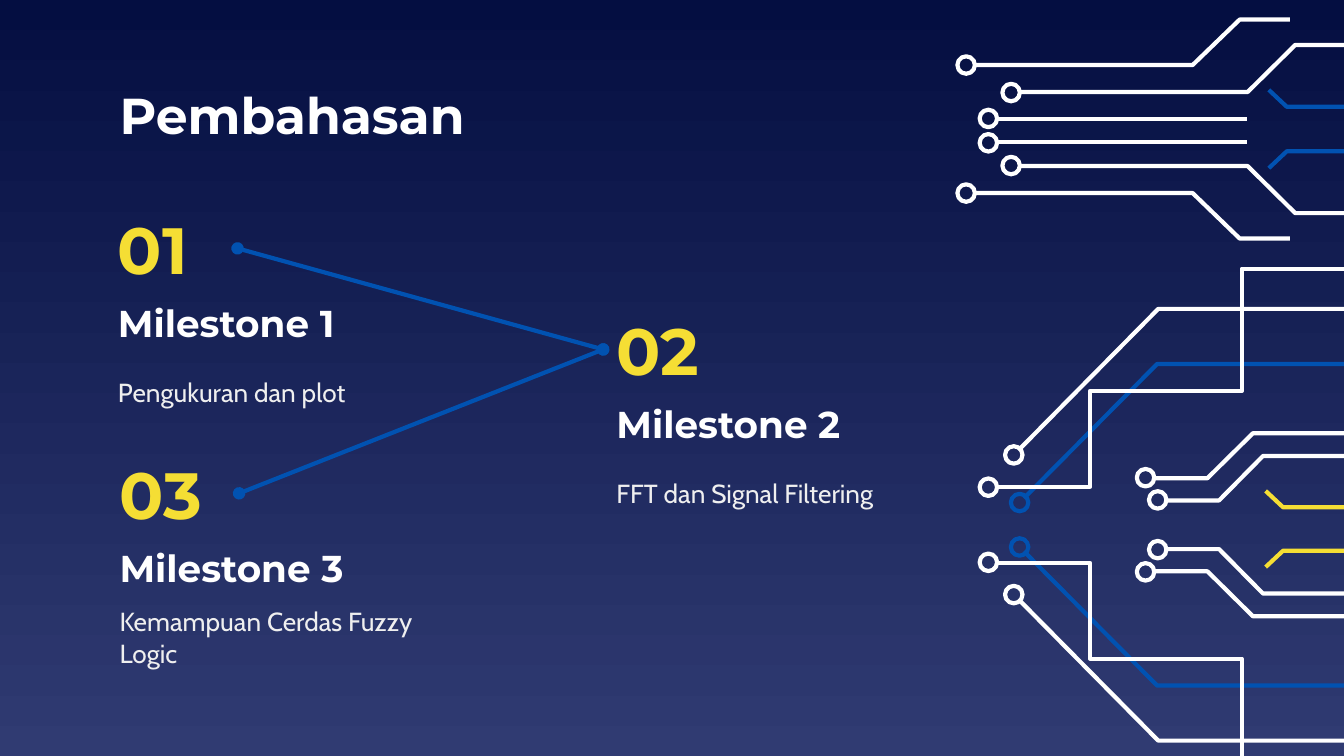
from dataclasses import dataclass

from lxml import etree
from pptx import Presentation
from pptx import util as u
from pptx.dml.color import RGBColor
from pptx.enum import shapes, text
from pptx.oxml.ns import qn


@dataclass(frozen=True)
class Theme:
    top: str = "040E41"
    base: str = "303B72"
    white: str = "FFFFFF"
    pale: str = "EFEFEF"
    gold: str = "F5DE34"
    blue: str = "0152B1"
    head: str = "Montserrat"
    body: str = "Cabin"
    title: float = 27
    num: float = 35
    name: float = 20
    note: float = 14
    line: float = 2.25


@dataclass(frozen=True)
class Step:
    num: str
    name: str
    note: str
    x: float
    y: float


@dataclass(frozen=True)
class Trace:
    hue: str
    axis: float
    pts: tuple
    dot: tuple = ()


T = Theme()
RING = 0.33

STEPS = [
    Step("01", "Milestone 1", "Pengukuran dan plot", 1.98, 3.96),
    Step("02", "Milestone 2", "FFT dan Signal Filtering", 11.4, 5.87),
    Step("03", "Milestone 3", "Kemampuan Cerdas Fuzzy Logic", 2.01, 8.59),
]

TRACES = [
    Trace(T.white, 9.92, ((22, 9.46), (23.04, 9.46), (23.87, 8.62), (25.9, 8.62)), (21.88, 9.45)),
    Trace(T.white, 9.92, ((21.79, 9.04), (22.82, 9.04), (23.68, 8.19), (25.9, 8.19)), (21.65, 9.03)),
    Trace(T.gold, 10, ((23.92, 9.28), (24.25, 9.59), (25.68, 9.59))),
    Trace(T.blue, 2.44, ((23.98, 1.7), (24.32, 2.02), (25.73, 2.02))),
    Trace(T.blue, 9.92, ((19.35, 9.42), (21.87, 6.88), (25.88, 6.88)), (19.27, 9.5)),
    Trace(T.white, 9.92, ((18.82, 9.2), (20.6, 9.2), (20.6, 7.39), (23.47, 7.39),
                          (23.47, 5.08), (25.9, 5.08)), (18.68, 9.21)),
    Trace(T.white, 9.92, ((19.25, 8.51), (21.89, 5.84), (25.9, 5.84)), (19.16, 8.6)),
    Trace(T.white, 2.44, ((18.39, 1.23), (22.54, 1.23), (23.43, 0.37), (24.38, 0.37)), (18.26, 1.23)),
    Trace(T.white, 2.44, ((19.25, 1.74), (23.58, 1.74), (24.48, 0.85), (26.04, 0.85)), (19.11, 1.75)),
    Trace(T.white, 2.47, ((18.82, 2.25), (23.57, 2.25)), (18.68, 2.24)),
]


def stroke(shape, hue: str) -> None:
    shape.line.color.rgb = RGBColor.from_string(hue)
    shape.line.width = u.Pt(T.line)


def write(slide, words: str, *, x: float, y: float, w: float, h: float,
          size: float, font: str = T.head, hue: str = T.white, bold: bool = True):
    box = slide.shapes.add_textbox(u.Cm(x), u.Cm(y), u.Cm(w), u.Cm(h))
    frame = box.text_frame
    frame.word_wrap = True
    frame.vertical_anchor = text.MSO_ANCHOR.MIDDLE
    frame.margin_left = frame.margin_right = u.Cm(0.25)
    frame.margin_top = frame.margin_bottom = u.Cm(0.25)
    run = frame.paragraphs[0].add_run()
    run.text = words
    run.font.name = font
    run.font.size = u.Pt(size)
    run.font.bold = bold
    run.font.color.rgb = RGBColor.from_string(hue)
    return box


def wire(slide, hue: str, start: tuple = (0, 0), end: tuple = (0, 0)):
    line = slide.shapes.add_connector(
        shapes.MSO_CONNECTOR.STRAIGHT, *(u.Cm(v) for v in (*start, *end)))
    stroke(line, hue)
    etree.SubElement(line._element.spPr, qn("a:effectLst"))
    return line


def bend(slide, hue: str, pts: list) -> None:
    spots = [(u.Cm(x), u.Cm(y)) for x, y in pts]
    pen = slide.shapes.build_freeform(*spots[0])
    pen.add_line_segments(spots[1:], close=False)
    shape = pen.convert_to_shape()
    shape.shadow.inherit = False
    shape.fill.background()
    stroke(shape, hue)


def ring(slide, hue: str, x: float, y: float) -> None:
    shape = slide.shapes.add_shape(
        shapes.MSO_SHAPE.OVAL, u.Cm(x - RING / 2), u.Cm(y - RING / 2), u.Cm(RING), u.Cm(RING))
    shape.shadow.inherit = False
    shape.fill.background()
    stroke(shape, hue)


def draw(slide, trace: Trace) -> None:
    for flip in (False, True):
        def place(spot: tuple) -> tuple:
            x, y = spot
            return (x, 2 * trace.axis - y) if flip else spot

        pts = [place(spot) for spot in trace.pts]
        if len(pts) == 2:
            wire(slide, trace.hue, *pts)
        else:
            bend(slide, trace.hue, pts)
        if trace.dot:
            ring(slide, trace.hue, *place(trace.dot))


def mark(slide, step: Step):
    write(slide, step.name, x=step.x, y=step.y + 1.47, w=6.12, h=1.32, size=T.name)
    write(slide, step.note, x=step.x, y=step.y + 2.72, w=6.12, h=1.47,
          size=T.note, font=T.body, hue=T.pale, bold=False)
    return write(slide, step.num, x=step.x, y=step.y, w=2.51, h=1.47,
                 size=T.num, hue=T.gold)


def link(slide, left, right) -> None:
    line = wire(slide, T.blue)
    line.begin_connect(left, 3)
    line.end_connect(right, 1)
    for tag in ("a:headEnd", "a:tailEnd"):
        etree.SubElement(line.line._get_or_add_ln(), qn(tag), type="oval")


def main() -> None:
    deck = Presentation()
    deck.slide_width, deck.slide_height = u.Cm(25.4), u.Cm(14.29)
    slide = deck.slides.add_slide(deck.slide_layouts[6])
    fill = slide.background.fill
    fill.gradient()
    fill.gradient_angle = 270
    for stop, hue in zip(fill.gradient_stops, (T.top, T.base)):
        stop.color.rgb = RGBColor.from_string(hue)

    for trace in TRACES:
        draw(slide, trace)
    write(slide, "Pembahasan", x=2.01, y=1.5, w=14.91, h=1.32, size=T.title)
    first, hub, last = [mark(slide, step) for step in STEPS]
    for box in (first, last):
        link(slide, box, hub)
    deck.save("out.pptx")


if __name__ == "__main__":
    main()
